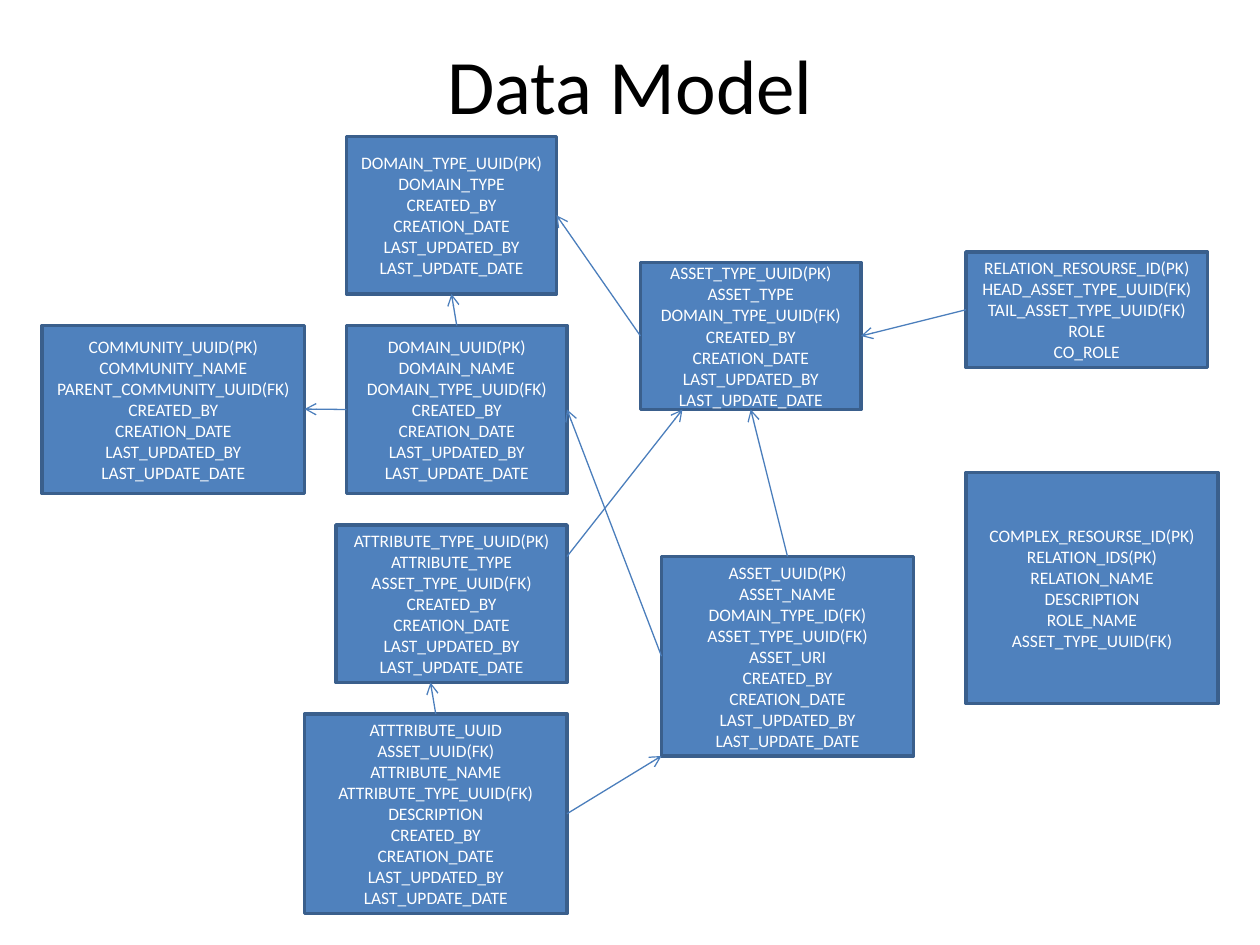
from typing import NamedTuple, Union

from lxml.etree import SubElement
from pptx import Presentation
from pptx.dml.color import RGBColor
from pptx.enum.shapes import MSO_CONNECTOR, MSO_SHAPE
from pptx.enum.text import MSO_ANCHOR, PP_ALIGN
from pptx.oxml.ns import qn
from pptx.shapes.autoshape import Shape
from pptx.slide import Slide
from pptx.util import Pt

BLACK = RGBColor(0x00, 0x00, 0x00)
WHITE = RGBColor(0xFF, 0xFF, 0xFF)
BOX_FILL = RGBColor(0x4F, 0x81, 0xBD)
BOX_LINE = RGBColor(0x3A, 0x5F, 0x8C)
LINK_LINE = RGBColor(0x4B, 0x7E, 0xBC)
FONT = "Calibri"
TOP, LEFT, BOTTOM, RIGHT = range(4)
SIDE_FRACTIONS = ((0.5, 0), (0, 0.5), (0.5, 1), (1, 0.5))
AUDIT = ("CREATED_BY", "CREATION_DATE", "LAST_UPDATED_BY", "LAST_UPDATE_DATE")


class Entity(NamedTuple):
    """A table of the data model, placed in points."""

    left: float
    top: float
    width: float
    height: float
    columns: tuple[str, ...]


class Side(NamedTuple):
    """The middle of one side of an entity."""

    entity: str
    site: int


class Point(NamedTuple):
    """A free position in points."""

    x: float
    y: float


class Link(NamedTuple):
    """A reference from one entity to another."""

    start: Union[Side, Point]
    end: Union[Side, Point]


ENTITIES = {
    "domain type": Entity(
        198, 78, 120, 90, ("DOMAIN_TYPE_UUID(PK)", "DOMAIN_TYPE", *AUDIT)),
    "community": Entity(
        24, 186, 150, 96,
        ("COMMUNITY_UUID(PK)", "COMMUNITY_NAME", "PARENT_COMMUNITY_UUID(FK)", *AUDIT)),
    "domain": Entity(
        198, 186, 126, 96,
        ("DOMAIN_UUID(PK)", "DOMAIN_NAME", "DOMAIN_TYPE_UUID(FK)", *AUDIT)),
    "asset type": Entity(
        366, 150, 126, 84,
        ("ASSET_TYPE_UUID(PK)", "ASSET_TYPE", "DOMAIN_TYPE_UUID(FK)", *AUDIT)),
    "asset": Entity(
        378, 318, 144, 114,
        ("ASSET_UUID(PK)", "ASSET_NAME", "DOMAIN_TYPE_ID(FK)",
         "ASSET_TYPE_UUID(FK)", "ASSET_URI", *AUDIT)),
    "attribute type": Entity(
        192, 300, 132, 90,
        ("ATTRIBUTE_TYPE_UUID(PK)", "ATTRIBUTE_TYPE", "ASSET_TYPE_UUID(FK)", *AUDIT)),
    "attribute": Entity(
        174, 408, 150, 114,
        ("ATTTRIBUTE_UUID", "ASSET_UUID(FK)", "ATTRIBUTE_NAME",
         "ATTRIBUTE_TYPE_UUID(FK)", "DESCRIPTION", *AUDIT)),
    "relation": Entity(
        552, 144, 138, 66,
        ("RELATION_RESOURSE_ID(PK)", "HEAD_ASSET_TYPE_UUID(FK)",
         "TAIL_ASSET_TYPE_UUID(FK)", "ROLE", "CO_ROLE")),
    "complex relation": Entity(
        552, 270, 144, 132,
        ("COMPLEX_RESOURSE_ID(PK)", "RELATION_IDS(PK)", "RELATION_NAME",
         "DESCRIPTION", "ROLE_NAME", "ASSET_TYPE_UUID(FK)")),
}
LINKS = (
    Link(Side("domain", LEFT), Point(174, 233.75)),
    Link(Side("asset", LEFT), Side("domain", RIGHT)),
    Link(Side("domain", TOP), Side("domain type", BOTTOM)),
    Link(Side("asset type", LEFT), Side("domain type", RIGHT)),
    Link(Side("asset", TOP), Side("asset type", BOTTOM)),
    Link(Point(324, 318), Point(390, 234)),
    Link(Side("attribute", RIGHT), Point(378, 432)),
    Link(Side("attribute", TOP), Point(246, 390)),
    Link(Side("relation", LEFT), Side("asset type", RIGHT)),
)


def write_text(shape: Shape, text: str, size: float, color: RGBColor) -> None:
    """Fill a shape with centred text."""
    frame = shape.text_frame
    frame.text = text
    frame.word_wrap = True
    frame.vertical_anchor = MSO_ANCHOR.MIDDLE
    for para in frame.paragraphs:
        para.alignment = PP_ALIGN.CENTER
        for span in para.runs:
            span.font.name = FONT
            span.font.size = Pt(size)
            span.font.color.rgb = color


def draw_entity(page: Slide, entity: Entity) -> Shape:
    """Draw an entity as a box that lists its columns."""
    box = page.shapes.add_shape(
        MSO_SHAPE.RECTANGLE, Pt(entity.left), Pt(entity.top),
        Pt(entity.width), Pt(entity.height))
    box.shadow.inherit = False
    box.fill.solid()
    box.fill.fore_color.rgb = BOX_FILL
    box.line.color.rgb = BOX_LINE
    box.line.width = Pt(2)
    write_text(box, "\n".join(entity.columns), 10, WHITE)
    return box


def locate(place: Union[Side, Point]) -> Point:
    """Return the position of a link end."""
    if isinstance(place, Point):
        return place
    entity = ENTITIES[place.entity]
    across, down = SIDE_FRACTIONS[place.site]
    return Point(entity.left + across * entity.width, entity.top + down * entity.height)


def draw_link(page: Slide, link: Link, boxes: dict[str, Shape]) -> None:
    """Draw a link as an arrow, glued wherever it meets the middle of a side."""
    start, end = locate(link.start), locate(link.end)
    arrow = page.shapes.add_connector(
        MSO_CONNECTOR.STRAIGHT, Pt(start.x), Pt(start.y), Pt(end.x), Pt(end.y))
    if isinstance(link.start, Side):
        arrow.begin_connect(boxes[link.start.entity], link.start.site)
    if isinstance(link.end, Side):
        arrow.end_connect(boxes[link.end.entity], link.end.site)
    arrow.line.color.rgb = LINK_LINE
    arrow.line.width = Pt(0.75)
    properties = arrow.element.spPr
    SubElement(properties.find(qn("a:ln")), qn("a:tailEnd"), type="arrow")
    SubElement(properties, qn("a:effectLst"))


def main() -> None:
    """Build the data model slide."""
    deck = Presentation()
    deck.slide_width, deck.slide_height = Pt(720), Pt(540)
    page = deck.slides.add_slide(deck.slide_layouts[6])
    title = page.shapes.add_textbox(Pt(36), Pt(18), Pt(648), Pt(60))
    write_text(title, "Data Model", 44, BLACK)
    boxes = {name: draw_entity(page, entity) for name, entity in ENTITIES.items()}
    for link in LINKS:
        draw_link(page, link, boxes)
    deck.save("out.pptx")


if __name__ == "__main__":
    main()
